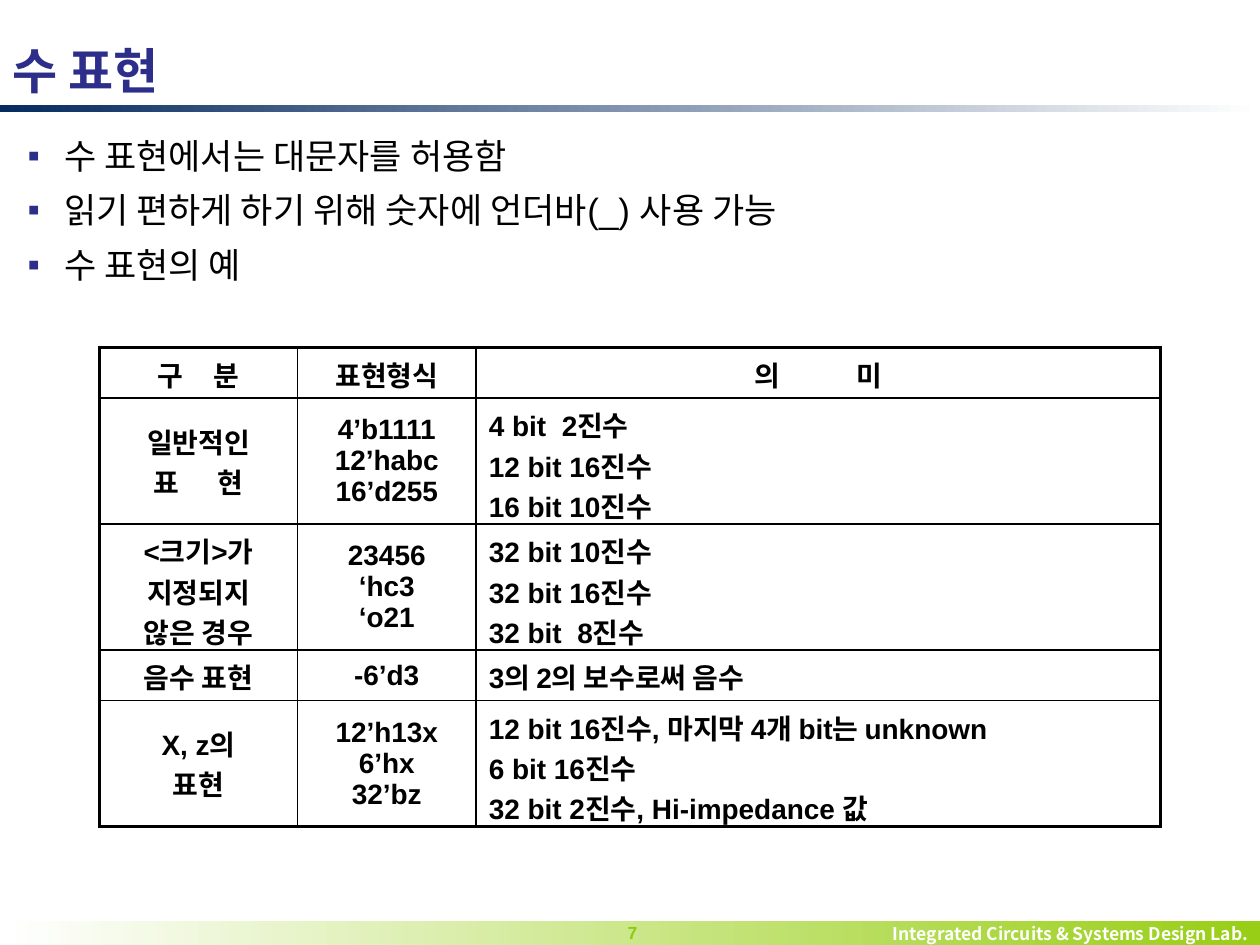
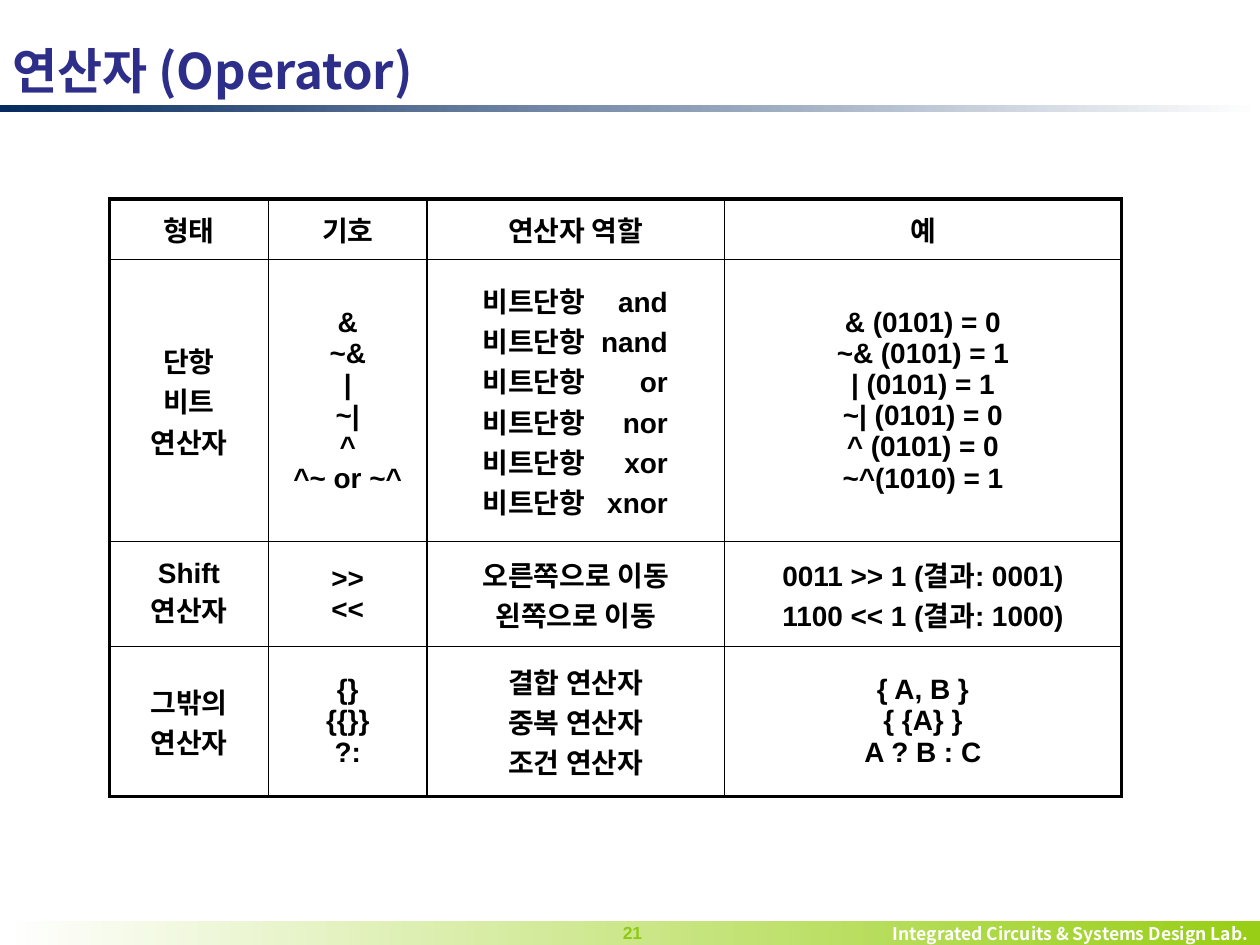
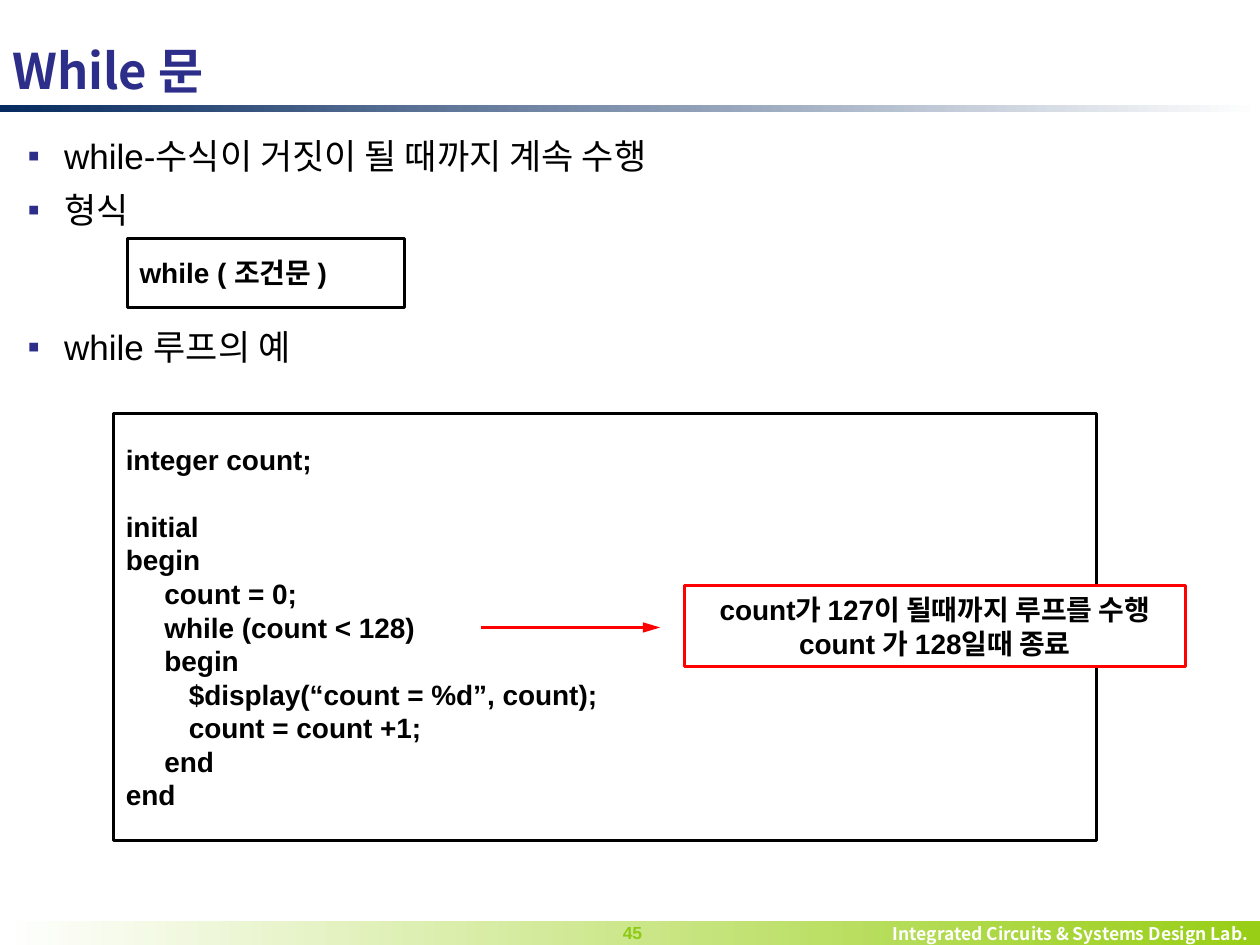
from lxml import etree
from pptx import Presentation
from pptx.dml.color import RGBColor
from pptx.enum.shapes import MSO_CONNECTOR, MSO_SHAPE
from pptx.enum.text import MSO_ANCHOR, PP_ALIGN
from pptx.oxml.ns import qn
from pptx.util import Inches, Pt

LEFT, CENTER, RIGHT = PP_ALIGN.LEFT, PP_ALIGN.CENTER, PP_ALIGN.RIGHT
TOP, MIDDLE = MSO_ANCHOR.TOP, MSO_ANCHOR.MIDDLE
RECTANGLE, STRAIGHT = MSO_SHAPE.RECTANGLE, MSO_CONNECTOR.STRAIGHT

COLUMNS, ROWS = 100, 75  # grid cells are a tenth of an inch
NAVY, INDIGO, LIME, PAGE_GREEN = "072B60", "2D2D8A", "98CE15", "8ECA15"
BLACK, WHITE, RED = "000000", "FFFFFF", "FF0000"
LATIN, KOREAN = "Arial", "Noto Sans CJK KR"
THIN, THICK = 1, 2.25

TITLE = {"size": Pt(28), "bold": True, "name": KOREAN, "color": INDIGO}
FOOTER = {"size": Pt(10), "bold": True, "name": KOREAN, "color": WHITE}
PAGE = {"size": Pt(10), "bold": True, "name": LATIN, "color": PAGE_GREEN}
BODY = {"size": Pt(20), "bold": False, "name": LATIN, "color": BLACK}
STRONG = {"size": Pt(16), "bold": True, "name": LATIN, "color": BLACK}

# Points added to the last space of a text
WIDE_GAPS = {"구 분": 13.5, "의 미": 40, "표 현": 18, "4 bit 2진수": 4.5, "32 bit 8진수": 4.5}


def grid(cells):
    return Inches(cells / 10)


def rgb(color):
    return RGBColor.from_string(color)


def assign(target, values):
    for name, value in values.items():
        setattr(target, name, value)


def add_xml(parent, tag, **attributes):
    return etree.SubElement(parent, qn(tag), {k: str(v) for k, v in attributes.items()})


class Deck:
    """Holds the presentation, its style and the current slide."""

    def __init__(self):
        self.show = Presentation()
        self.show.slide_width, self.show.slide_height = grid(COLUMNS), grid(ROWS)

    def start(self, title, page):
        self.slide = self.show.slides.add_slide(self.show.slide_layouts[6])
        self.band((0, 8.3, COLUMNS, 0.6), NAVY, WHITE)
        footer = self.band((0.4, 73.1, 99.6, 1.9), WHITE, LIME)
        self.set_text(footer.text_frame, ["Integrated Circuits & Systems Design Lab."], FOOTER,
                      {"alignment": RIGHT}, {"margin_top": 0, "margin_bottom": 0})
        self.text((46.3, 72.7, 7.8, 2.7), [page], PAGE, {"alignment": CENTER})
        self.text((0, 2.4, COLUMNS, 6.3), [title], TITLE, {}, {"vertical_anchor": MIDDLE})

    def set_text(self, frame, lines, font, paragraph_format, frame_format=None, before=None):
        """Fill a frame; before maps a line's index to its space before."""
        assign(frame, {"word_wrap": True, "vertical_anchor": MIDDLE, **(frame_format or {})})
        for index, line in enumerate(lines):
            paragraph = frame.paragraphs[0] if index == 0 else frame.add_paragraph()
            self.runs(paragraph, line, font)
            assign(paragraph, paragraph_format)
            if before and index in before:
                paragraph.space_before = Pt(before[index])
        return frame

    def runs(self, paragraph, line, font):
        gap = WIDE_GAPS.get(line)
        for piece in line.rpartition(" ") if gap else [line]:
            run = paragraph.add_run()
            run.text = piece
            assign(run.font, {k: v for k, v in font.items() if k != "color"})
            run.font.color.rgb = rgb(font["color"])
            properties = run.font._element
            add_xml(properties, "a:ea", typeface=KOREAN)
            if piece == " ":
                properties.set("spc", str(int(gap * 100)))

    def text(self, place, lines, font, paragraph_format, frame_format=None, before=None):
        box = self.slide.shapes.add_textbox(*map(grid, place))
        return self.set_text(box.text_frame, lines, font, paragraph_format,
                             {"vertical_anchor": TOP, **(frame_format or {})}, before)

    def bullets(self, lines, before):
        frame = self.text((1.2, 9.4, 97.5, 62.3), lines, BODY, {}, {"margin_top": Inches(0.08)})
        for index, paragraph in enumerate(frame.paragraphs):
            properties = paragraph._p.get_or_add_pPr()
            properties.set("marL", str(grid(2.9)))
            properties.set("indent", str(-grid(2.9)))
            add_xml(add_xml(properties, "a:buClr"), "a:srgbClr", val=INDIGO)
            add_xml(properties, "a:buFont", typeface=LATIN)
            add_xml(properties, "a:buChar", char="▪")
            paragraph.line_spacing = Pt(27.2)
            if index:
                paragraph.space_before = Pt(before[index - 1])

    def band(self, place, start, end):
        band = self.slide.shapes.add_shape(RECTANGLE, *map(grid, place))
        band.shadow.inherit = False
        band.line.fill.background()
        band.fill.gradient()
        band.fill.gradient_angle = 0
        for stop, color in zip(band.fill.gradient_stops, (start, end)):
            stop.color.rgb = rgb(color)
        return band

    def frame(self, place, lines, align=LEFT, outline=BLACK, fill=None, before=None):
        box = self.slide.shapes.add_shape(RECTANGLE, *map(grid, place))
        box.shadow.inherit = False
        box.line.color.rgb = rgb(outline)
        box.line.width = Pt(1.75)
        if fill:
            box.fill.solid()
            box.fill.fore_color.rgb = rgb(fill)
        else:
            box.fill.background()
        self.set_text(box.text_frame, lines, STRONG,
                      {"alignment": align, "line_spacing": Pt(19.2)}, before=before)

    def arrow(self, start, end, color):
        line = self.slide.shapes.add_connector(STRAIGHT, *map(grid, start + end))
        line.line.color.rgb = rgb(color)
        line.line.width = Pt(1.5)
        add_xml(line.line._get_or_add_ln(), "a:tailEnd", type="triangle", w="med", len="lg")
        add_xml(line._element.spPr, "a:effectLst")

    def table(self, corner, widths, heights, rows, left_cells=()):
        """Each cell is a string with one paragraph a line."""
        size = (sum(widths), sum(heights))
        table = self.slide.shapes.add_table(
            len(rows), len(widths), *map(grid, corner + size)).table
        assign(table, {"first_row": False, "horz_banding": False})
        for column, width in zip(table.columns, widths):
            column.width = grid(width)
        for row, height in zip(table.rows, heights):
            row.height = grid(height)
        last_row, last_column = len(rows) - 1, len(widths) - 1
        for r, row in enumerate(rows):
            for c, content in enumerate(row):
                cell = table.cell(r, c)
                cell.fill.solid()
                cell.fill.fore_color.rgb = rgb(WHITE)
                cell.vertical_anchor = MIDDLE
                align = LEFT if (r, c) in left_cells else CENTER
                self.set_text(cell.text_frame, content.split("\n"), STRONG,
                              {"alignment": align})
                self.borders(cell, {"L": c == 0, "R": c == last_column,
                                    "T": r == 0, "B": r == last_row})
        return table

    def borders(self, cell, outer_sides):
        properties = cell._tc.get_or_add_tcPr()
        for index, (side, outer) in enumerate(outer_sides.items()):
            line = add_xml(properties, "a:ln" + side, w=Pt(THICK if outer else THIN))
            add_xml(add_xml(line, "a:solidFill"), "a:srgbClr", val=BLACK)
            properties.insert(index, line)

    def right_tab(self, cell, margin, position):
        """Start a cell's lines at a margin and end them at a right tab."""
        cell.margin_left = grid(margin)
        for paragraph in cell.text_frame.paragraphs:
            tabs = add_xml(paragraph._p.get_or_add_pPr(), "a:tabLst")
            add_xml(tabs, "a:tab", pos=grid(position), algn="r")


def number_slide(deck):
    deck.start("수 표현", "7")
    deck.bullets(["수 표현에서는 대문자를 허용함",
                  "읽기 편하게 하기 위해 숫자에 언더바(_) 사용 가능",
                  "수 표현의 예"], [4, 4])
    rows = [
        ("구 분", "표현형식", "의 미"),
        ("일반적인\n표 현", "4’b1111\n12’habc\n16’d255",
         "4 bit 2진수\n12 bit 16진수\n16 bit 10진수"),
        ("<크기>가\n지정되지\n않은 경우", "23456\n‘hc3\n‘o21",
         "32 bit 10진수\n32 bit 16진수\n32 bit 8진수"),
        ("음수 표현", "-6’d3", "3의 2의 보수로써 음수"),
        ("X, z의\n표현", "12’h13x\n6’hx\n32’bz",
         "12 bit 16진수, 마지막 4개 bit는 unknown\n6 bit 16진수\n"
         "32 bit 2진수, Hi-impedance 값"),
    ]
    meanings = [(r, 2) for r in range(1, len(rows))]
    deck.table((7.9, 27.6), (15.7, 14.2, 54.3), (4, 10, 10, 4, 10), rows, meanings)


def operator_slide(deck):
    deck.start("연산자 (Operator)", "21")
    gates = ["and", "nand", "or", "nor", "xor", "xnor"]
    rows = [
        ("형태", "기호", "연산자 역할", "예"),
        ("단항\n비트\n연산자", "&\n~&\n|\n~|\n^\n^~ or ~^",
         "\n".join(f"비트단항\t{gate}" for gate in gates),
         "& (0101) = 0\n~& (0101) = 1\n| (0101) = 1\n"
         "~| (0101) = 0\n^ (0101) = 0\n~^(1010) = 1"),
        ("Shift\n연산자", ">>\n<<", "오른쪽으로 이동\n왼쪽으로 이동",
         "0011 >> 1 (결과: 0001)\n1100 << 1 (결과: 1000)"),
        ("그밖의 연산자", "{}\n{{}}\n?:", "결합 연산자\n중복 연산자\n조건 연산자",
         "{ A, B }\n{ {A} }\nA ? B : C"),
    ]
    operators = deck.table((8.7, 15.8), (12.6, 12.6, 23.6, 31.5),
                           (4.8, 22.4, 8.3, 11.9), rows, [(1, 2)])
    deck.right_tab(operators.cell(1, 2), 4.4, 14.7)


def while_slide(deck):
    deck.start("While 문", "45")
    deck.bullets(["while-수식이 거짓이 될 때까지 계속 수행", "형식", "while 루프의 예"], [4, 51])
    deck.frame((10.1, 18.9, 22, 5.5), ["while ( 조건문 )"])
    code = [
        "integer count;",
        "initial",
        "begin",
        "     count = 0;",
        "     while (count < 128)",
        "     begin",
        "\t$display(“count = %d”, count);",
        "\tcount = count +1;",
        "     end",
        "end",
    ]
    deck.frame((9, 32.8, 78, 33.9), code, before={1: 19.2})
    deck.arrow((38.2, 49.8), (52.4, 49.8), RED)
    deck.frame((54.3, 46.5, 39.8, 6.4),
               ["count가 127이 될때까지 루프를 수행", "count 가 128일때 종료"],
               CENTER, RED, WHITE)


def main():
    deck = Deck()
    for build in (number_slide, operator_slide, while_slide):
        build(deck)
    deck.show.save("out.pptx")


if __name__ == "__main__":
    main()
